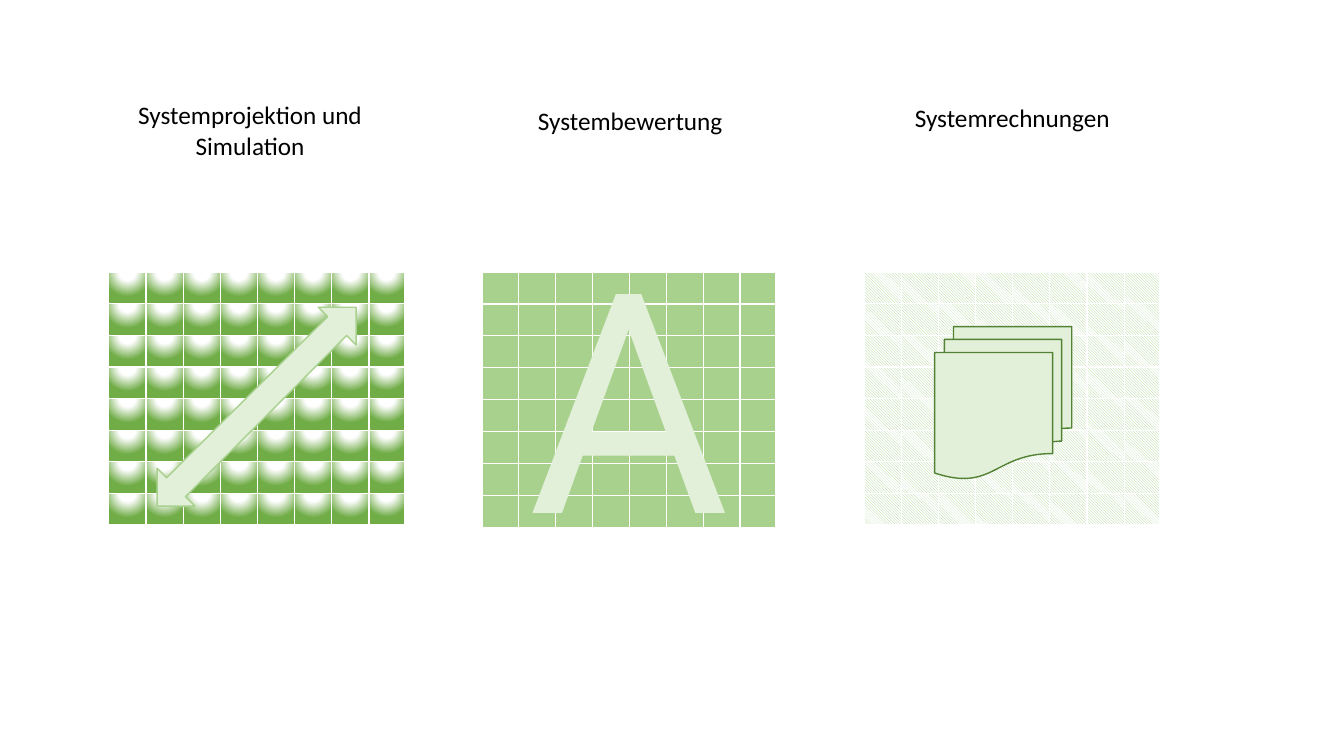
from pptx import Presentation, util as u
from pptx.dml.color import RGBColor
from pptx.enum import dml, shapes, text
from pptx.oxml import parse_xml

C = {"white": "FFFFFF", "black": "000000", "pale": "E2F0D9",
     "light": "A9D18E", "mid": "70AD47", "dark": "548235"}
NS = 'xmlns:a="http://schemas.openxmlformats.org/drawingml/2006/main"'
N = 8            # rows and columns of each grid
TOP = 2.7        # shared top edge of the grids
COL_SHARE = 7.95  # the last column is slightly narrower than the others

GRADIENT = f'''<a:gradFill {NS} rotWithShape="1"><a:gsLst>
<a:gs pos="0"><a:srgbClr val="{C["white"]}"/></a:gs>
<a:gs pos="35000"><a:srgbClr val="{C["white"]}"/></a:gs>
<a:gs pos="100000"><a:srgbClr val="{C["mid"]}"/></a:gs></a:gsLst>
<a:path path="circle"><a:fillToRect l="50000" t="-80000" r="50000" b="180000"/></a:path>
</a:gradFill>'''


def rgb(name):
    return RGBColor.from_string(C[name])


def add_text(s, box, words, anchor, fmt, color):
    tf = s.shapes.add_textbox(*map(u.Inches, box)).text_frame
    for key, value in {"word_wrap": True, "vertical_anchor": anchor,
                       "auto_size": text.MSO_AUTO_SIZE.SHAPE_TO_FIT_TEXT}.items():
        setattr(tf, key, value)
    p = tf.paragraphs[0]
    p.alignment = text.PP_ALIGN.CENTER
    r = p.add_run()
    r.text = words
    for key, value in fmt.items():
        setattr(r.font, key, value)
    r.font.color.rgb = rgb(color)


prs = Presentation()
prs.slide_width, prs.slide_height = u.Inches(13.33), u.Inches(7.5)
s = prs.slides.add_slide(prs.slide_layouts[6])

# Three grids: left, width, height, cell fill
for left, width, height, kind in [(4.78, 2.91, 2.53, "solid"),
                                  (1.08, 2.93, 2.51, "gradient"),
                                  (8.57, 2.93, 2.51, "pattern")]:
    tbl = s.shapes.add_table(N, N, *map(u.Inches, (left, TOP, width, height))).table
    tbl.first_row = tbl.horz_banding = False
    col = width / COL_SHARE
    for i in range(N):
        tbl.columns[i].width = u.Inches(col if i < N - 1 else width - col * (N - 1))
        tbl.rows[i].height = u.Inches(height / N)
    for cell in tbl.iter_cells():
        # Small empty text keeps the row height
        cell.margin_top = cell.margin_bottom = 0
        cell.text_frame.paragraphs[0]._p.append(parse_xml(f'<a:endParaRPr {NS} sz="800"/>'))
        tcPr = cell._tc.get_or_add_tcPr()
        # Cell fill
        if kind == "solid":
            cell.fill.solid()
            cell.fill.fore_color.rgb = rgb("light")
        elif kind == "pattern":
            cell.fill.patterned()
            cell.fill.pattern = dml.MSO_PATTERN.DARK_DOWNWARD_DIAGONAL
            cell.fill.fore_color.rgb = rgb("light")
            cell.fill.back_color.rgb = rgb("white")
        else:
            tcPr.append(parse_xml(GRADIENT))
        # White borders come before the fill
        for i, side in enumerate("LRTB"):
            tcPr.insert(i, parse_xml(
                f'<a:ln{side} {NS} w="12700"><a:solidFill><a:srgbClr val="{C["white"]}"/>'
                f'</a:solidFill></a:ln{side}>'))

# Large letter on the middle grid
add_text(s, (4.78, 1.96, 2.91, 3.83), "A", text.MSO_ANCHOR.MIDDLE,
         {"name": "Roboto", "size": u.Pt(220)}, "pale")

# Diagonal arrow and stack of documents
for kind, box, angle, line in [
        (shapes.MSO_SHAPE.LEFT_RIGHT_ARROW, (1.15, 3.77, 2.79, 0.53), 315, "light"),
        (shapes.MSO_SHAPE.FLOWCHART_MULTIDOCUMENT, (9.27, 3.24, 1.36, 1.51), 0, "dark")]:
    sp = s.shapes.add_shape(kind, *map(u.Inches, box))
    sp.rotation = angle
    sp.shadow.inherit = False
    sp.fill.solid()
    sp.fill.fore_color.rgb = rgb("pale")
    sp.line.color.rgb = rgb(line)
    sp.line.width = u.Pt(1)

# Headings
for left, top, height, words in [(1.24, 0.94, 0.71, "Systemprojektion und Simulation"),
                                 (5.01, 1.0, 0.4, "Systembewertung"),
                                 (8.8, 0.97, 0.4, "Systemrechnungen")]:
    add_text(s, (left, top, 2.48, height), words, text.MSO_ANCHOR.TOP,
             {"name": "Calibri", "size": u.Pt(18)}, "black")

prs.save("out.pptx")
